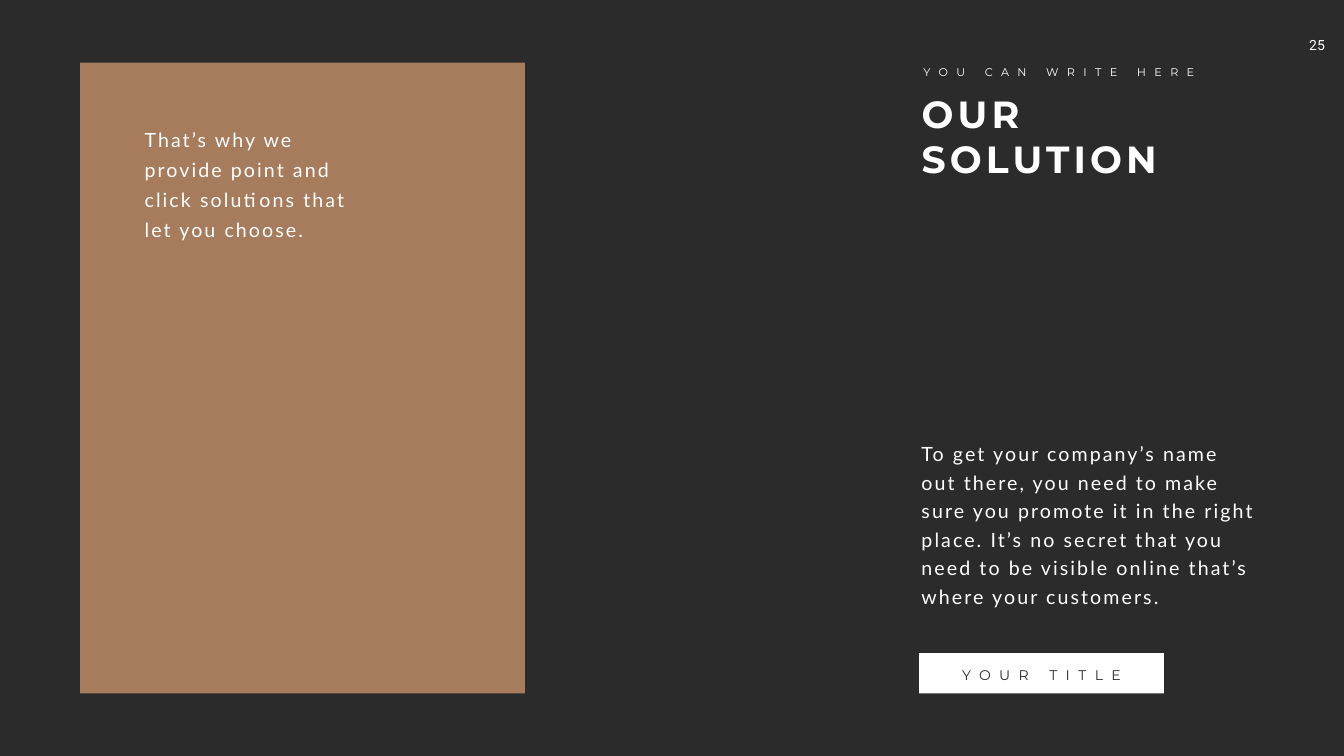
from dataclasses import dataclass

from pptx import Presentation
from pptx.dml.color import RGBColor
from pptx.enum.shapes import MSO_SHAPE as Shape
from pptx.enum.text import MSO_ANCHOR as Anchor, MSO_AUTO_SIZE as AutoSize, PP_ALIGN as Align
from pptx.util import Emu, Pt

EMU_PER_PX = 9144
DARK, WHITE, COPPER = "2B2B2B", "FFFFFF", "A67C5C"


@dataclass(frozen=True)
class Area:
    """A rectangle on the page, in px."""
    left: int
    top: int
    width: int
    height: int

    def emu(self) -> list[Emu]:
        """Return the four lengths in EMU."""
        return [px(n) for n in (self.left, self.top, self.width, self.height)]


def px(length: int) -> Emu:
    """Turn px into EMU."""
    return Emu(length * EMU_PER_PX)


def color(code: str) -> RGBColor:
    """Turn a hex string into a colour."""
    return RGBColor.from_string(code)


def write(box, text: str, *, size: int, font: str, fill: str = WHITE, bold: bool = False,
          tracking: int = 0, leading: float | None = None, align=Align.LEFT,
          wrap: bool = True) -> None:
    """Put one formatted paragraph into a box."""
    frame = box.text_frame
    frame.word_wrap = wrap
    frame.auto_size = AutoSize.NONE
    frame.vertical_anchor = Anchor.TOP
    para = frame.paragraphs[0]
    para.alignment = align
    if leading:
        para.line_spacing = Pt(leading)
    span = para.add_run()
    span.text = text
    span.font.size, span.font.name, span.font.bold = Pt(size), font, bold
    span.font.color.rgb = color(fill)
    span.font._element.set("spc", str(tracking * 100))


def add_text(page, area: Area, text: str, **style) -> None:
    """Add a text box with one formatted paragraph."""
    write(page.shapes.add_textbox(*area.emu()), text, **style)


def add_panel(page, area: Area, fill: str) -> None:
    """Add a plain filled rectangle."""
    panel = page.shapes.add_shape(Shape.RECTANGLE, *area.emu())
    panel.shadow.inherit = False
    panel.fill.solid()
    panel.fill.fore_color.rgb = color(fill)
    panel.line.fill.background()


def main() -> None:
    """Build the solution slide."""
    deck = Presentation()
    deck.slide_width, deck.slide_height = px(2666), px(1500)
    page = deck.slides.add_slide(deck.slide_layouts[5])
    page.background.fill.solid()
    page.background.fill.fore_color.rgb = color(DARK)

    add_panel(page, Area(159, 124, 882, 1252), COPPER)
    add_panel(page, Area(1823, 1296, 486, 80), WHITE)

    title = page.shapes.title
    title.left, title.top, title.width, title.height = Area(1818, 174, 652, 192).emu()
    write(title, "OUR SOLUTION", size=54, font="Montserrat", bold=True, tracking=6)

    body = dict(size=28, font="Lato", tracking=3)
    label = dict(font="Montserrat", tracking=12, wrap=False)
    add_text(page, Area(2562, 67, 101, 54), "25", size=20, font="Roboto", align=Align.CENTER)
    add_text(page, Area(1822, 124, 578, 37), "YOU CAN WRITE HERE", size=16, **label)
    add_text(page, Area(277, 235, 457, 246),
             "That’s why we provide point and click solutions that let you choose.",
             leading=43, **body)
    add_text(page, Area(1818, 862, 689, 349),
             "To get your company’s name out there, you need to make sure you promote it "
             "in the right place. It’s no secret that you need to be visible online that’s "
             "where your customers.", leading=40.8, **body)
    add_text(page, Area(1888, 1318, 356, 44), "YOUR TITLE", size=20, fill=DARK,
             align=Align.CENTER, **label)
    deck.save("out.pptx")


if __name__ == "__main__":
    main()
